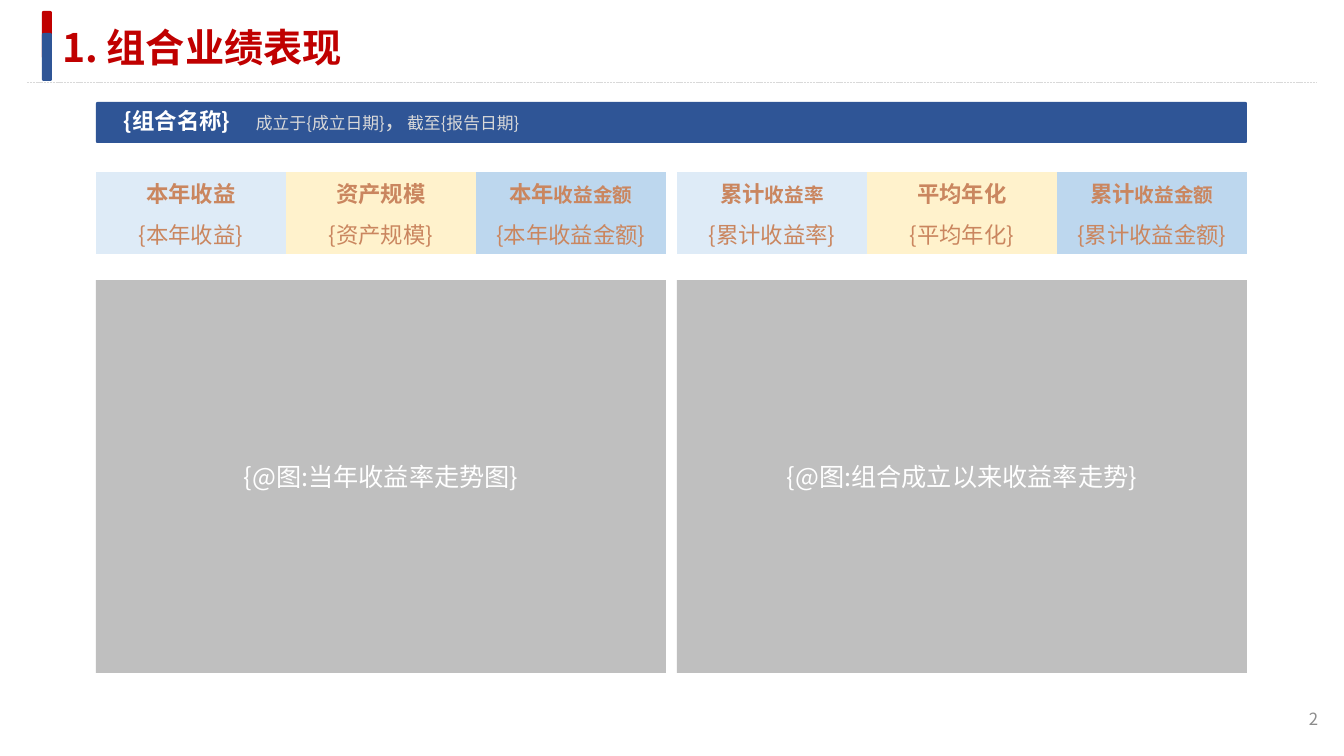
from lxml import etree
from pptx import Presentation
from pptx.dml.color import RGBColor
from pptx.enum.dml import MSO_LINE
from pptx.enum.shapes import MSO_CONNECTOR, MSO_SHAPE
from pptx.enum.text import MSO_ANCHOR as Anchor, PP_ALIGN as Align
from pptx.oxml.ns import qn

FONT = "Noto Sans CJK SC"
RED, BLUE, WHITE, GRAY = "C00000", "2F5596", "FFFFFF", "BFBFBF"
PALE, COPPER, FOLIO = "D9D9D9", "CA865F", "8C8C8C"
COLUMN_FILLS = ["DEEBF7", "FFF2CC", "BDD7EE"]
NO_GRID_STYLE = "{2D5ABB26-0587-4C30-8999-92F81FD0307C}"

TITLE = "1. 组合业绩表现"
BANNER = [
    ("{组合名称}", dict(size=16, color=WHITE, bold=True)),
    ("\t成立于{成立日期}", dict(size=12, color=PALE)),
    ("，", dict(size=16, color=PALE)),
    ("截至{报告日期}", dict(size=12, color=PALE)),
]
# Each heading is a large part and a smaller part.
HALVES = [
    dict(
        headings=[("本年收益", ""), ("资产规模", ""), ("本年", "收益金额")],
        values=["{本年收益}", "{资产规模}", "{本年收益金额}"],
        chart="{@图:当年收益率走势图}",
    ),
    dict(
        headings=[("累计", "收益率"), ("平均年化", ""), ("累计", "收益金额")],
        values=["{累计收益率}", "{平均年化}", "{累计收益金额}"],
        chart="{@图:组合成立以来收益率走势}",
    ),
]
PAGE_NUMBER = "2"

SCALE = 914400 / 100.8
LEFT, GAP, COLUMN, ROW = 96, 11, 190, 41
HALF = COLUMN * len(COLUMN_FILLS)
TABLE_TOP, CHART_TOP, CHART_HEIGHT = 172, 280, 393
BANNER_TAB = 132


def px(*lengths):
    return [round(length * SCALE) for length in lengths]


def rgb(color):
    return RGBColor.from_string(color)


def add_text(para, text, size=16, color=WHITE, bold=False):
    span = para.add_run()
    span.text = text
    span.font.size = round(size * 12700)
    span.font.name = FONT
    span.font.bold = bold
    span.font.color.rgb = rgb(color)
    east_asian = etree.SubElement(span.font._element, qn("a:ea"))
    east_asian.set("typeface", FONT)


def add_block(page, kind, box, color, corner=None):
    block = page.shapes.add_shape(kind, *px(*box))
    block.shadow.inherit = False
    block.fill.solid()
    block.fill.fore_color.rgb = rgb(color)
    block.line.fill.background()
    if corner is not None:
        block.adjustments[0] = corner
    return block


def add_header(page):
    rule = page.shapes.add_connector(MSO_CONNECTOR.STRAIGHT, *px(27, 82, 1316, 82))
    rule.line.color.rgb = rgb(PALE)
    rule.line.width = 6350
    rule.line.dash_style = MSO_LINE.SQUARE_DOT
    etree.SubElement(rule._element.spPr, qn("a:effectLst"))
    for top, color in ((11, RED), (33, BLUE)):
        add_block(page, MSO_SHAPE.ROUNDED_RECTANGLE, (42, top, 10, 48), color)
    title = page.shapes.title
    title.left, title.top, title.width, title.height = px(52, 12, 977, 70)
    title.text_frame.vertical_anchor = Anchor.MIDDLE
    para = title.text_frame.paragraphs[0]
    para.alignment = Align.LEFT
    add_text(para, TITLE, size=28, color=RED, bold=True)


def add_banner(page):
    width = 2 * HALF + GAP
    add_block(page, MSO_SHAPE.ROUNDED_RECTANGLE, (LEFT, 102, width, ROW), BLUE, 0.036)
    box = page.shapes.add_textbox(*px(114, 102, 974, 64))
    box.text_frame.word_wrap = True
    para = box.text_frame.paragraphs[0]
    tabs = etree.SubElement(para._p.get_or_add_pPr(), qn("a:tabLst"))
    etree.SubElement(tabs, qn("a:tab"), pos=str(px(BANNER_TAB)[0]), algn="l")
    for text, style in BANNER:
        add_text(para, text, **style)


def add_figures(page, left, headings, values):
    """Add the table of headings over values."""
    columns = len(headings)
    frame = page.shapes.add_table(2, columns, *px(left, TABLE_TOP, HALF, 2 * ROW))
    table = frame.table
    table.first_row = table.horz_banding = False
    table._tbl.tblPr.find(qn("a:tableStyleId")).text = NO_GRID_STYLE
    for column, (large, small) in enumerate(headings):
        spans = [[(large, 16, True), (small, 14, True)], [(values[column], 16, False)]]
        for row, parts in enumerate(spans):
            cell = table.cell(row, column)
            cell.fill.solid()
            cell.fill.fore_color.rgb = rgb(COLUMN_FILLS[column])
            cell.vertical_anchor = Anchor.MIDDLE
            para = cell.text_frame.paragraphs[0]
            para.alignment = Align.CENTER
            for text, size, bold in parts:
                if text:
                    add_text(para, text, size=size, color=COPPER, bold=bold)


def add_chart_panel(page, left, label):
    box = (left, CHART_TOP, HALF, CHART_HEIGHT)
    panel = add_block(page, MSO_SHAPE.RECTANGLE, box, GRAY)
    panel.text_frame.vertical_anchor = Anchor.MIDDLE
    para = panel.text_frame.paragraphs[0]
    para.alignment = Align.CENTER
    add_text(para, label, size=18)


def add_page_number(page):
    box = page.shapes.add_textbox(*px(1263, 699, 65, 40))
    box.text_frame.word_wrap = True
    box.text_frame.vertical_anchor = Anchor.MIDDLE
    para = box.text_frame.paragraphs[0]
    para.alignment = Align.RIGHT
    add_text(para, PAGE_NUMBER, size=12, color=FOLIO)


def main():
    deck = Presentation()
    deck.slide_width, deck.slide_height = px(1344, 756)
    page = deck.slides.add_slide(deck.slide_layouts[5])
    add_header(page)
    add_banner(page)
    for index, half in enumerate(HALVES):
        left = LEFT + index * (HALF + GAP)
        add_figures(page, left, half["headings"], half["values"])
        add_chart_panel(page, left, half["chart"])
    add_page_number(page)
    deck.save("out.pptx")


if __name__ == "__main__":
    main()
